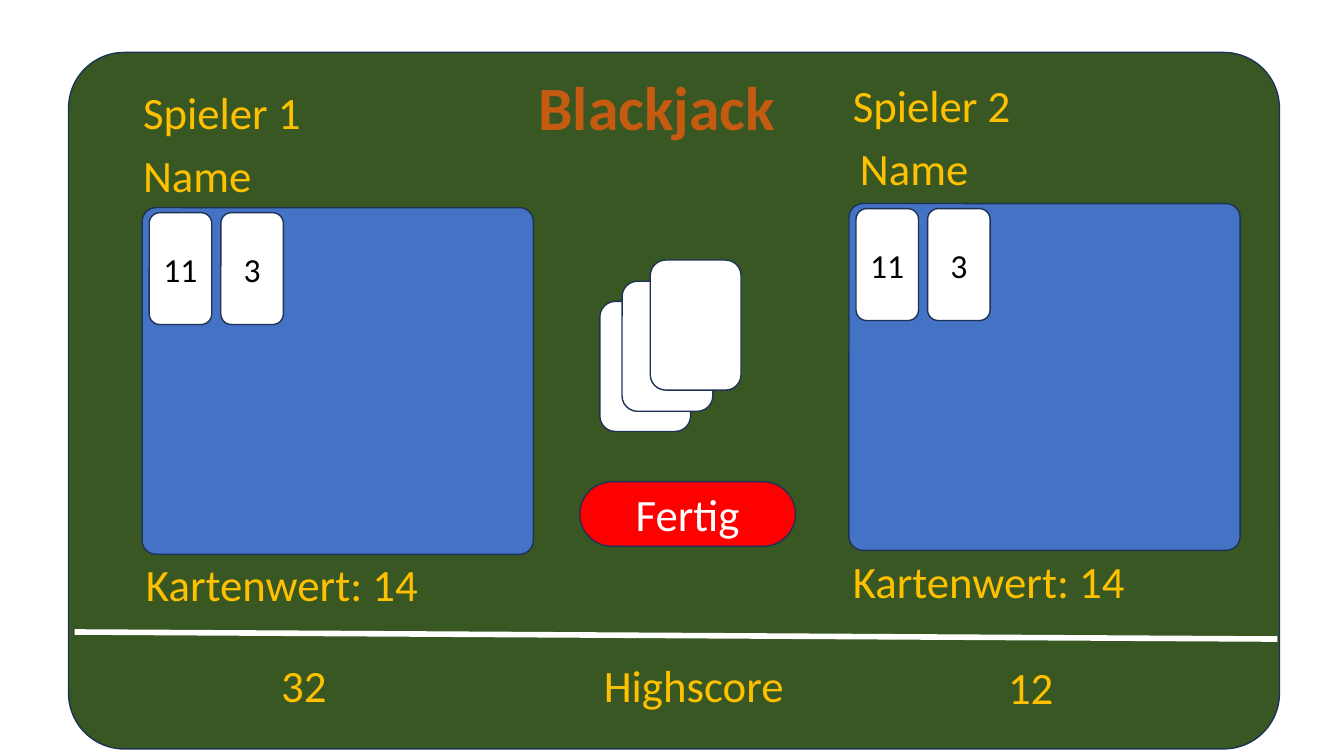
from dataclasses import dataclass

from lxml.etree import SubElement
from pptx import Presentation
from pptx.dml.color import RGBColor
from pptx.enum.shapes import MSO_CONNECTOR, MSO_SHAPE
from pptx.enum.text import MSO_ANCHOR, MSO_AUTO_SIZE, PP_ALIGN
from pptx.oxml.ns import qn
from pptx.shapes.autoshape import Shape
from pptx.slide import Slide
from pptx.text.text import TextFrame
from pptx.util import Inches, Pt

FELT_GREEN = RGBColor(0x38, 0x57, 0x23)
BOARD_BLUE = RGBColor(0x44, 0x72, 0xC4)
OUTLINE_NAVY = RGBColor(0x1E, 0x32, 0x56)
LABEL_GOLD = RGBColor(0xFF, 0xC0, 0x00)
TITLE_ORANGE = RGBColor(0xC5, 0x5A, 0x11)
BUTTON_RED = RGBColor(0xFF, 0x00, 0x00)
WHITE = RGBColor(0xFF, 0xFF, 0xFF)
BLACK = RGBColor(0x00, 0x00, 0x00)

FONT = "Calibri"
LABEL_SIZE = 32
CARD_SIZE = 24
CARD_STEP = 0.71
CARD_CORNER = 0.17


@dataclass(frozen=True)
class Box:
    left: float
    top: float
    width: float
    height: float


@dataclass(frozen=True)
class Label:
    text: str
    left: float
    top: float
    width: float


@dataclass(frozen=True)
class Player:
    board_left: float
    board_top: float
    cards: tuple[str, ...]
    labels: tuple[Label, ...]


PLAYERS = (
    Player(1.41, 2.06, ("11", "3"), (
        Label("Spieler 1", 1.32, 0.79, 1.78),
        Label("Name", 1.32, 1.42, 1.29),
        Label("Kartenwert: 14", 1.35, 5.47, 2.93),
        Label("32", 2.69, 6.48, 0.66),
    )),
    Player(8.42, 2.02, ("11", "3"), (
        Label("Spieler 2", 8.36, 0.72, 1.78),
        Label("Name", 8.43, 1.35, 1.29),
        Label("Kartenwert: 14", 8.36, 5.44, 2.93),
        Label("12", 9.9, 6.5, 0.66),
    )),
)
HIGHSCORE = Label("Highscore", 5.89, 6.48, 2.01)
DECK_CORNERS = ((5.95, 2.99), (6.17, 2.79), (6.45, 2.58))


def write_text(frame: TextFrame, text: str, size: int, color: RGBColor,
               alignment: PP_ALIGN, bold: bool = False) -> None:
    frame.text = text
    paragraph = frame.paragraphs[0]
    paragraph.alignment = alignment
    font = paragraph.runs[0].font
    font.name = FONT
    font.size = Pt(size)
    font.bold = bold
    font.color.rgb = color


def add_rounded(slide: Slide, box: Box, fill: RGBColor, corner: float) -> Shape:
    shape = slide.shapes.add_shape(
        MSO_SHAPE.ROUNDED_RECTANGLE, Inches(box.left), Inches(box.top),
        Inches(box.width), Inches(box.height))
    shape.adjustments[0] = corner
    shape.shadow.inherit = False
    shape.fill.solid()
    shape.fill.fore_color.rgb = fill
    shape.line.color.rgb = OUTLINE_NAVY
    shape.line.width = Pt(1)
    shape.text_frame.vertical_anchor = MSO_ANCHOR.MIDDLE
    return shape


def add_label(slide: Slide, label: Label) -> None:
    text_box = slide.shapes.add_textbox(
        Inches(label.left), Inches(label.top), Inches(label.width), Inches(0.64))
    frame = text_box.text_frame
    frame.word_wrap = False
    frame.auto_size = MSO_AUTO_SIZE.SHAPE_TO_FIT_TEXT
    write_text(frame, label.text, LABEL_SIZE, LABEL_GOLD, PP_ALIGN.LEFT)


def add_player(slide: Slide, player: Player) -> None:
    board = Box(player.board_left, player.board_top, 3.88, 3.44)
    add_rounded(slide, board, BOARD_BLUE, 0.04)
    for index, value in enumerate(player.cards):
        box = Box(board.left + 0.07 + index * CARD_STEP, board.top + 0.05, 0.62, 1.11)
        card = add_rounded(slide, box, WHITE, CARD_CORNER)
        write_text(card.text_frame, value, CARD_SIZE, BLACK, PP_ALIGN.CENTER)
    for label in player.labels:
        add_label(slide, label)


def add_deck(slide: Slide) -> None:
    for left, top in DECK_CORNERS:
        add_rounded(slide, Box(left, top, 0.9, 1.29), WHITE, CARD_CORNER)


def add_done_button(slide: Slide) -> None:
    button = add_rounded(slide, Box(5.75, 4.78, 2.14, 0.64), BUTTON_RED, 0.5)
    write_text(button.text_frame, "Fertig", LABEL_SIZE, WHITE, PP_ALIGN.CENTER)


def add_score_line(slide: Slide) -> None:
    line = slide.shapes.add_connector(
        MSO_CONNECTOR.STRAIGHT, Inches(0.74), Inches(6.27), Inches(12.67), Inches(6.34))
    line.line.color.rgb = WHITE
    line.line.width = Pt(4)
    SubElement(line.element.spPr, qn("a:effectLst"))


def place_title(slide: Slide) -> None:
    title = slide.shapes.title
    title.left, title.top = Inches(5.24), Inches(0.63)
    title.width, title.height = Inches(2.67), Inches(0.84)
    frame = title.text_frame
    frame.word_wrap = True
    frame.auto_size = MSO_AUTO_SIZE.NONE
    frame.vertical_anchor = MSO_ANCHOR.TOP
    write_text(frame, "Blackjack", 44, TITLE_ORANGE, PP_ALIGN.LEFT, bold=True)
    title.element.getparent().append(title.element)


def main() -> None:
    presentation = Presentation()
    presentation.slide_width = Inches(13.33)
    presentation.slide_height = Inches(7.5)
    slide = presentation.slides.add_slide(presentation.slide_layouts[5])
    add_rounded(slide, Box(0.68, 0.52, 12.01, 6.91), FELT_GREEN, 0.08)
    for player in PLAYERS:
        add_player(slide, player)
    add_deck(slide)
    add_done_button(slide)
    add_score_line(slide)
    add_label(slide, HIGHSCORE)
    place_title(slide)
    presentation.save("out.pptx")


main()
